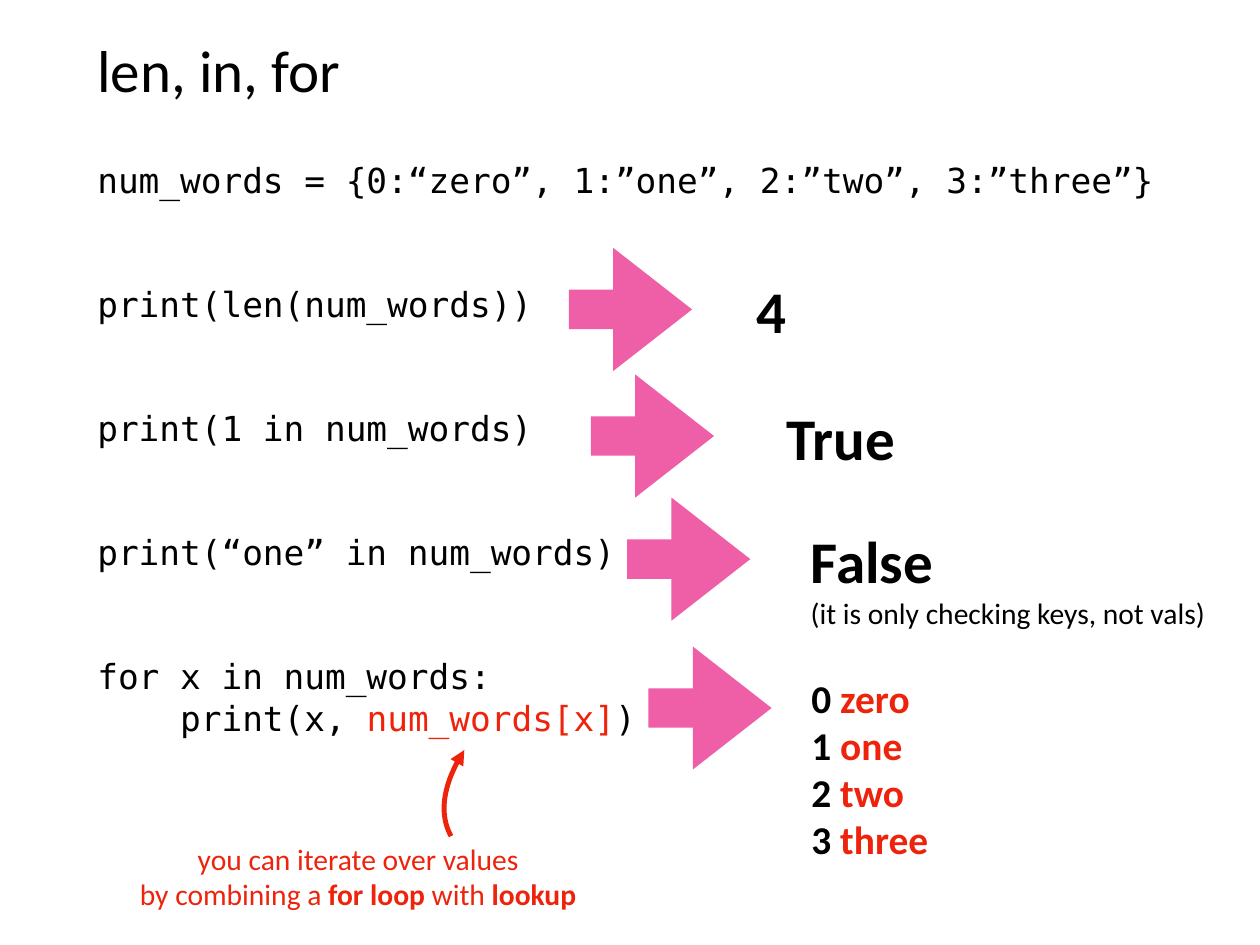
from lxml import etree
from pptx import Presentation
from pptx.dml.color import RGBColor
from pptx.enum.shapes import MSO_SHAPE
from pptx.enum.text import MSO_ANCHOR, MSO_AUTO_SIZE, PP_ALIGN
from pptx.oxml.ns import qn
from pptx.util import Cm, Pt

RIGHT_ARROW = MSO_SHAPE.RIGHT_ARROW
TOP, MIDDLE = MSO_ANCHOR.TOP, MSO_ANCHOR.MIDDLE
LEFT, CENTER = PP_ALIGN.LEFT, PP_ALIGN.CENTER
NO_AUTOFIT = MSO_AUTO_SIZE.NONE

COLOURS = {"black": "000000", "red": "EE230C", "pink": "EF5FA7"}
PROSE, MONO = "Calibri", "DejaVu Sans Mono"
INSET = 0.15
CODE_LINE = 33.6  # points
ARROW_SIZE = 3.53


def colour(name):
    return RGBColor.from_string(COLOURS[name])


class Page:
    def __init__(self, deck):
        self.slide = deck.slides.add_slide(deck.slide_layouts[1])

    def place(self, shape, left, top, width, height):
        shape.left, shape.top = Cm(left), Cm(top)
        shape.width, shape.height = Cm(width), Cm(height)

    def fill_frame(self, frame, lines, size, font=PROSE, anchor=MIDDLE, align=LEFT):
        """Fill a frame; each line is a list of (text, colour, bold) spans."""
        frame.word_wrap = True
        frame.auto_size = NO_AUTOFIT
        frame.vertical_anchor = anchor
        frame.margin_left = frame.margin_right = Cm(INSET)
        frame.margin_top = frame.margin_bottom = Cm(INSET)
        for number, line in enumerate(lines):
            para = frame.add_paragraph() if number else frame.paragraphs[0]
            para.alignment = align
            for text, ink, bold in line:
                span = para.add_run()
                span.text = text
                span.font.name = font
                span.font.size = Pt(size)
                span.font.bold = bold
                span.font.color.rgb = colour(ink)

    def title(self, text, *area):
        title = self.slide.shapes.title
        self.place(title, *area)
        self.fill_frame(title.text_frame, [[(text, "black", False)]], 48)

    def code(self, lines, gaps, *area):
        """Set unbulleted code; gaps counts the blank lines above each line."""
        body = self.slide.placeholders[1]
        self.place(body, *area)
        self.fill_frame(body.text_frame, lines, 28, MONO, TOP)
        for para, gap in zip(body.text_frame.paragraphs, gaps):
            para.line_spacing = Pt(CODE_LINE)
            para.space_before = Pt(gap * CODE_LINE)
            properties = para._p.get_or_add_pPr()
            properties.set("marL", "0")
            properties.set("indent", "0")
            etree.SubElement(properties, qn("a:buNone"))

    def text(self, lines, size, area, **style):
        box = self.slide.shapes.add_textbox(*map(Cm, area))
        self.fill_frame(box.text_frame, lines, size, **style)
        return box

    def arrow(self, left, top):
        arrow = self.slide.shapes.add_shape(
            RIGHT_ARROW, Cm(left), Cm(top), Cm(ARROW_SIZE), Cm(ARROW_SIZE))
        arrow.adjustments[0], arrow.adjustments[1] = 0.32, 0.64
        arrow.shadow.inherit = False
        arrow.fill.solid()
        arrow.fill.fore_color.rgb = colour("pink")
        arrow.line.fill.background()

    def curve(self, controls, steps=24):
        """Draw a cubic Bezier curve with an arrowhead at its first point."""
        points = []
        for step in range(steps + 1):
            t = step / steps
            weights = ((1 - t) ** 3, 3 * t * (1 - t) ** 2, 3 * t * t * (1 - t), t ** 3)
            points.append(tuple(
                Cm(sum(weight * value for weight, value in zip(weights, axis)))
                for axis in zip(*controls)))
        builder = self.slide.shapes.build_freeform(*points[0])
        builder.add_line_segments(points[1:], close=False)
        curve = builder.convert_to_shape()
        curve.shadow.inherit = False
        curve.fill.background()
        curve.line.color.rgb = colour("red")
        curve.line.width = Pt(4)
        outline = curve.element.spPr.find(qn("a:ln"))
        etree.SubElement(outline, qn("a:headEnd"), type="triangle")


def main():
    deck = Presentation()
    deck.slide_width, deck.slide_height = Cm(36.12), Cm(27.1)
    page = Page(deck)

    page.title("len, in, for", 2.64, 0.71, 30.84, 2.51)
    statements = [
        "num_words = {0:“zero”, 1:”one”, 2:”two”, 3:”three”}",
        "print(len(num_words))",
        "print(1 in num_words)",
        "print(“one” in num_words)",
        "for x in num_words:",
    ]
    code = [[(statement, "black", False)] for statement in statements]
    code.append([("    print(x, ", "black", False),
                 ("num_words[x]", "red", False),
                 (")", "black", False)])
    page.code(code, (0, 2, 2, 2, 2, 0), 2.64, 4.42, 32.05, 21.34)

    for left, top in ((16.31, 7.11), (16.94, 10.74), (17.98, 14.27), (18.59, 18.54)):
        page.arrow(left, top)

    page.text([[("4", "black", True)]], 48, (21.46, 7.77, 1.32, 2.24), align=CENTER)
    page.text([[("True", "black", True)]], 48, (22.4, 11.4, 4.47, 2.24))
    false_box = page.text(
        [[("False", "black", True)],
         [("(it is only checking keys, not vals)", "black", False)]],
        48, (23.09, 14.88, 12.2, 3.2), anchor=TOP)
    false_box.text_frame.paragraphs[1].runs[0].font.size = Pt(24)

    words = ("zero", "one", "two", "three")
    pairs = [[(f"{key} ", "black", True), (word, "red", True)]
             for key, word in enumerate(words)]
    page.text(pairs, 32, (23.11, 19.15, 4.5, 5.77))

    page.curve([(13.31, 21.51), (12.7, 22.48), (12.57, 23.32), (12.93, 23.98)])
    page.text(
        [[("you can iterate over values", "red", False)],
         [("by combining a ", "red", False), ("for loop", "red", True),
          (" with ", "red", False), ("lookup", "red", True)]],
        24, (3.28, 24, 13.97, 2.26), align=CENTER)

    deck.save("out.pptx")


if __name__ == "__main__":
    main()
